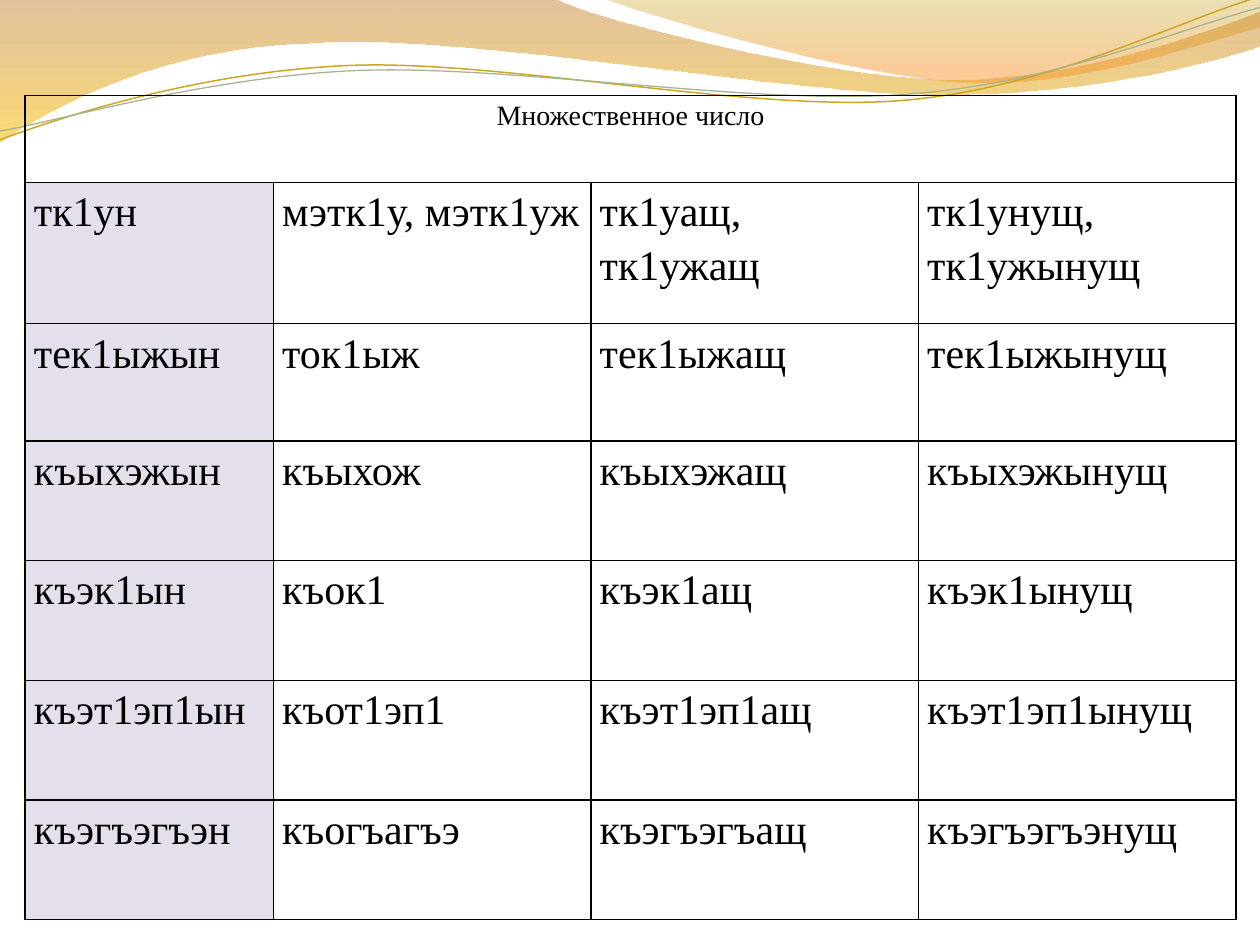
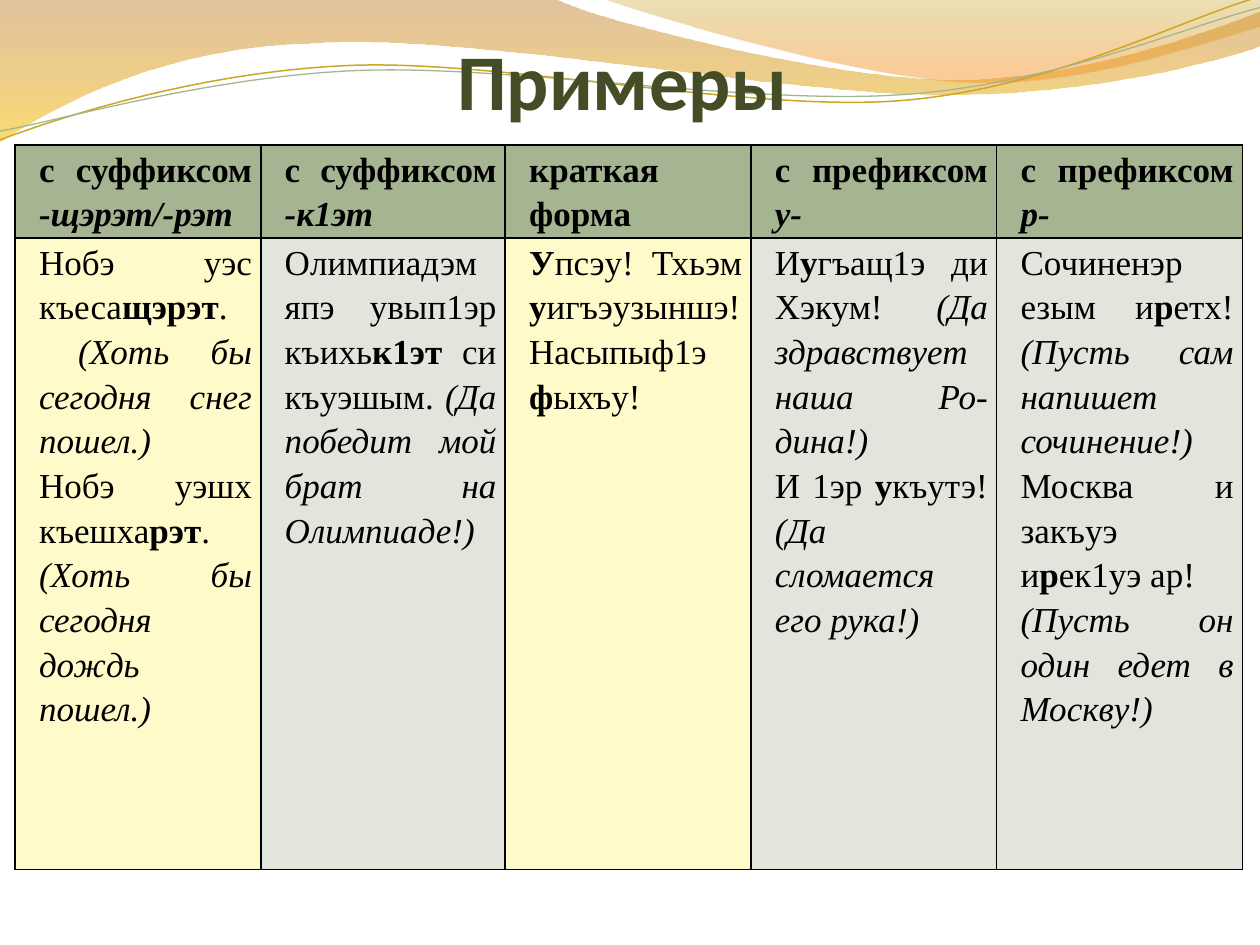
"""Build two grammar table slides under a shared wave band."""
from dataclasses import dataclass
from math import cos, radians, sin
from typing import NamedTuple, Optional

from lxml.etree import SubElement
from pptx import Presentation
from pptx.dml.color import RGBColor as RGB
from pptx.enum.text import MSO_ANCHOR as Anchor, MSO_AUTO_SIZE as Fit, PP_ALIGN as Align
from pptx.oxml import parse_xml
from pptx.oxml.ns import nsdecls, qn
from pptx.util import Pt

PX = 9144
BLACK = RGB(0x00, 0x00, 0x00)
OLIVE = RGB(0x44, 0x4D, 0x26)
SAGE = RGB(0xA5, 0xB5, 0x92)
MIST = RGB(0xE1, 0xE5, 0xDC)
CREAM = RGB(0xFE, 0xFA, 0xC9)
LILAC = RGB(0xE5, 0xDF, 0xEC)
GOLD = RGB(0xCC, 0xA6, 0x24)
BROWN = RGB(0xC0, 0x7A, 0x28)
AMBER = RGB(0xF7, 0xBF, 0x00)
OCHRE = RGB(0xC0, 0x97, 0x09)
PEACH = RGB(0xF5, 0x93, 0x20)
SERIF = "Times New Roman"
SANS = "Calibri"
TILT = 2.7


class Stop(NamedTuple):
    """One gradient stop with its opacity in percent."""
    place: float
    tint: RGB
    alpha: int


class Wave(NamedTuple):
    """Outline of straight (2 values) and curved (6 values) steps."""
    start: tuple
    steps: list
    stops: tuple = ()
    tint: Optional[RGB] = None
    width: float = 0
    hub: Optional[tuple] = None


@dataclass
class Cell:
    """Look and wording of one cell; * marks bold, _ marks italic."""
    paras: list
    size: int
    fill: Optional[RGB] = None
    align: Align = Align.JUSTIFY
    bold: bool = False
    left: int = 0
    first: tuple = ()


@dataclass
class Grid:
    """Place, column widths and row heights of a table."""
    left: int
    top: int
    cols: list
    rows: list


WAVES = [
    Wave((0, 0), [(440, -1), (476, 17, 664, 63, 758, 63), (853, 63, 958, 26, 1000, 9),
                  (1001, 36), (983, 44, 870, 76, 746, 75), (622, 75, 382, 28, 257, 34),
                  (129, 36, 46, 83, -1, 113), (0, 0)],
         (Stop(0, BROWN, 45), Stop(1, AMBER, 55))),
    Wave((479, -1), [(509, 11, 682, 62, 769, 65), (856, 69, 961, 32, 1000, 21),
                     (1000, 0), (479, -1)],
         (Stop(0, OCHRE, 30), Stop(0.8, PEACH, 45))),
    Wave((0, 111), [(48, 93, 158, 57, 277, 52), (395, 47, 593, 89, 713, 80),
                    (833, 71, 938, 15, 998, -2)], tint=GOLD, width=0.85, hub=(499, 57)),
    Wave((0, 104), [(47, 96, 164, 61, 283, 56), (403, 51, 597, 84, 717, 75),
                    (836, 67, 941, 21, 1000, 6)], tint=SAGE, width=0.75, hub=(499, 59)),
]

FORMS = [
    ["тк1ун", "мэтк1у, мэтк1уж", "тк1уащ, тк1ужащ", "тк1унущ, тк1ужынущ"],
    ["тек1ыжын", "ток1ыж", "тек1ыжащ", "тек1ыжынущ"],
    ["къыхэжын", "къыхож", "къыхэжащ", "къыхэжынущ"],
    ["къэк1ын", "къок1", "къэк1ащ", "къэк1ынущ"],
    ["къэт1эп1ын", "къот1эп1", "къэт1эп1ащ", "къэт1эп1ынущ"],
    ["къэгъэгъэн", "къогъагъэ", "къэгъэгъащ", "къэгъэгъэнущ"],
]

HEADS = ["с суффиксом |_-щэрэт/-рэт", "с суффиксом |_-к1эт", "краткая форма",
         "с префиксом |_у-", "с префиксом |_р-"]

CASES = [
    ["Нобэ уэс къеса|*щэрэт|.", "_(Хоть бы сегодня снег пошел.)",
     "Нобэ уэшх къешха|*рэт|. |_(Хоть бы сегодня дождь пошел.)"],
    ["Олимпиадэм япэ увып1эр къихь|*к1эт| си къуэшым. "
     "|_(Да победит мой брат на Олимпиаде!)"],
    ["*У|псэу! Тхьэм |*у|игъэузыншэ!", "Насыпыф1э |*ф|ыхъу!"],
    ["И|*у|гъащ1э ди Хэкум! |_(Да здравствует наша Ро-дина!)",
     "И 1эр |*у|къутэ! |_(Да сломается его рука!)"],
    ["Сочиненэр езым и|*р|етх! |_(Пусть сам напишет сочинение!)",
     "Москва и закъуэ и|*р|ек1уэ ар!", "_(Пусть он один едет в Москву!)"],
]
FILLS = [CREAM, MIST, CREAM, MIST, MIST]


def place(wave: Wave, x: int, y: int) -> tuple:
    """Return a point in EMU, turned about the hub of a tilted wave."""
    if wave.hub:
        turn, (hx, hy) = radians(TILT), wave.hub
        dx, dy = x - hx, y - hy
        x, y = hx + dx * cos(turn) - dy * sin(turn), hy + dx * sin(turn) + dy * cos(turn)
    return round(x * PX), round(y * PX)


def bend(shape, wave: Wave) -> None:
    """Turn the straight segments of curved steps into cubic ones."""
    for node, step in zip(list(shape.element.iter(qn("a:lnTo"))), wave.steps):
        if len(step) == 6:
            curve = parse_xml(f'<a:cubicBezTo {nsdecls("a")}/>')
            for x, y in zip(step[::2], step[1::2]):
                px, py = place(wave, x, y)
                spot = SubElement(curve, qn("a:pt"))
                spot.set("x", str(px - shape.left))
                spot.set("y", str(py - shape.top))
            node.getparent().replace(node, curve)


def draw_wave(slide, wave: Wave):
    """Draw one filled band or one thin line."""
    pen = slide.shapes.build_freeform(*place(wave, *wave.start), scale=1.0)
    pen.add_line_segments([place(wave, *step[-2:]) for step in wave.steps],
                          close=bool(wave.stops))
    shape = pen.convert_to_shape()
    bend(shape, wave)
    shape.shadow.inherit = False
    if wave.hub:
        shape.rotation = 360 - TILT
        shape.fill.background()
        shape.line.color.rgb = wave.tint
        shape.line.width = Pt(wave.width)
        return shape
    shape.line.fill.background()
    shape.fill.gradient()
    shape.fill.gradient_angle = 270
    for mark, stop in zip(shape.fill.gradient_stops, wave.stops):
        mark.color.rgb = stop.tint
        mark.position = stop.place
    for node, stop in zip(shape.element.iter(qn("a:srgbClr")), wave.stops):
        SubElement(node, qn("a:alpha")).set("val", str(stop.alpha * 1000))
    return shape


def set_band(deck, slide) -> None:
    """Draw the waves and hand them to the slide master."""
    base = deck.slide_master.shapes[0].element
    for k, shape in enumerate([draw_wave(slide, wave) for wave in WAVES]):
        shape.element.nvSpPr.cNvPr.set("id", str(100 + k))
        base.addprevious(shape.element)


def set_title(slide, text: str) -> None:
    """Place and format the title."""
    title = slide.shapes.title
    title.left, title.top, title.width, title.height = (n * PX for n in (51, 29, 900, 71))
    frame = title.text_frame
    frame.text = text
    frame.auto_size = Fit.NONE
    frame.word_wrap = True
    frame.vertical_anchor = Anchor.BOTTOM
    frame.margin_left = frame.margin_right = frame.margin_bottom = 0
    frame.margin_top = 5 * PX
    para = frame.paragraphs[0]
    para.alignment = Align.CENTER
    font = para.runs[0].font
    font.name, font.size, font.bold = SANS, Pt(45), True
    font.color.rgb = OLIVE


def fill_cell(box, cell: Cell) -> None:
    """Write and format the paragraphs of one cell."""
    box.margin_left = box.margin_right = 7 * PX
    box.margin_top = box.margin_bottom = 0
    frame = box.text_frame
    for k, text in enumerate(cell.paras):
        para = frame.add_paragraph() if k else frame.paragraphs[0]
        para.alignment = cell.align
        para.line_spacing = 1.15
        props = para._p.get_or_add_pPr()
        props.set("marL", str(cell.left * PX))
        props.set("indent", str(cell.first[k] * PX if cell.first else 0))
        for piece in text.split("|"):
            run = para.add_run()
            run.text = piece.lstrip("*_")
            font = run.font
            font.name, font.size = SERIF, Pt(cell.size)
            font.bold = cell.bold or piece.startswith("*")
            font.italic = piece.startswith("_")
            font.color.rgb = BLACK


def rule_cell(box, fill: Optional[RGB]) -> None:
    """Set the fill and black borders of one cell."""
    if fill is None:
        box.fill.background()
    else:
        box.fill.solid()
        box.fill.fore_color.rgb = fill
    props = box._tc.get_or_add_tcPr()
    for k, side in enumerate("LRTB"):
        props.insert(k, parse_xml(
            f'<a:ln{side} {nsdecls("a")} w="12700"><a:solidFill>'
            f'<a:srgbClr val="{BLACK}"/></a:solidFill></a:ln{side}>'))


def add_grid(slide, grid: Grid, lines: list) -> None:
    """Draw a table; a row with one cell spans all columns."""
    table = slide.shapes.add_table(
        len(grid.rows), len(grid.cols), grid.left * PX, grid.top * PX,
        sum(grid.cols) * PX, sum(grid.rows) * PX).table
    table.first_row = table.horz_banding = False
    for col, width in zip(table.columns, grid.cols):
        col.width = width * PX
    for row, height in zip(table.rows, grid.rows):
        row.height = height * PX
    for r, line in enumerate(lines):
        if len(line) == 1:
            table.cell(r, 0).merge(table.cell(r, len(grid.cols) - 1))
        for c in range(len(grid.cols)):
            cell = line[min(c, len(line) - 1)]
            rule_cell(table.cell(r, c), cell.fill)
            if c < len(line):
                fill_cell(table.cell(r, c), cell)


def add_forms(slide) -> None:
    """Build the table of plural verb forms."""
    lines = [[Cell(["Множественное число"], 16, align=Align.CENTER)]]
    lines += [[Cell([word], 24, None if c else LILAC) for c, word in enumerate(row)]
              for row in FORMS]
    grid = Grid(20, 76, [197, 252, 260, 252], [69, 112, 93] + [95] * 4)
    add_grid(slide, grid, lines)


def add_cases(slide) -> None:
    """Build the table of examples."""
    set_title(slide, "Примеры ")
    heads = [Cell([text], 20, SAGE, bold=True, left=12) for text in HEADS]
    cases = [Cell(paras, 20, fill, left=12) for paras, fill in zip(CASES, FILLS)]
    cases[0].first = (0, 31, 0)
    add_grid(slide, Grid(12, 115, [195, 194, 195, 195, 195], [74, 501]), [heads, cases])


def main() -> None:
    """Build and save the deck."""
    deck = Presentation()
    deck.slide_width, deck.slide_height = 1000 * PX, 750 * PX
    bare, titled = (deck.slides.add_slide(deck.slide_layouts[k]) for k in (6, 5))
    set_band(deck, bare)
    add_forms(bare)
    add_cases(titled)
    deck.save("out.pptx")


if __name__ == "__main__":
    main()
